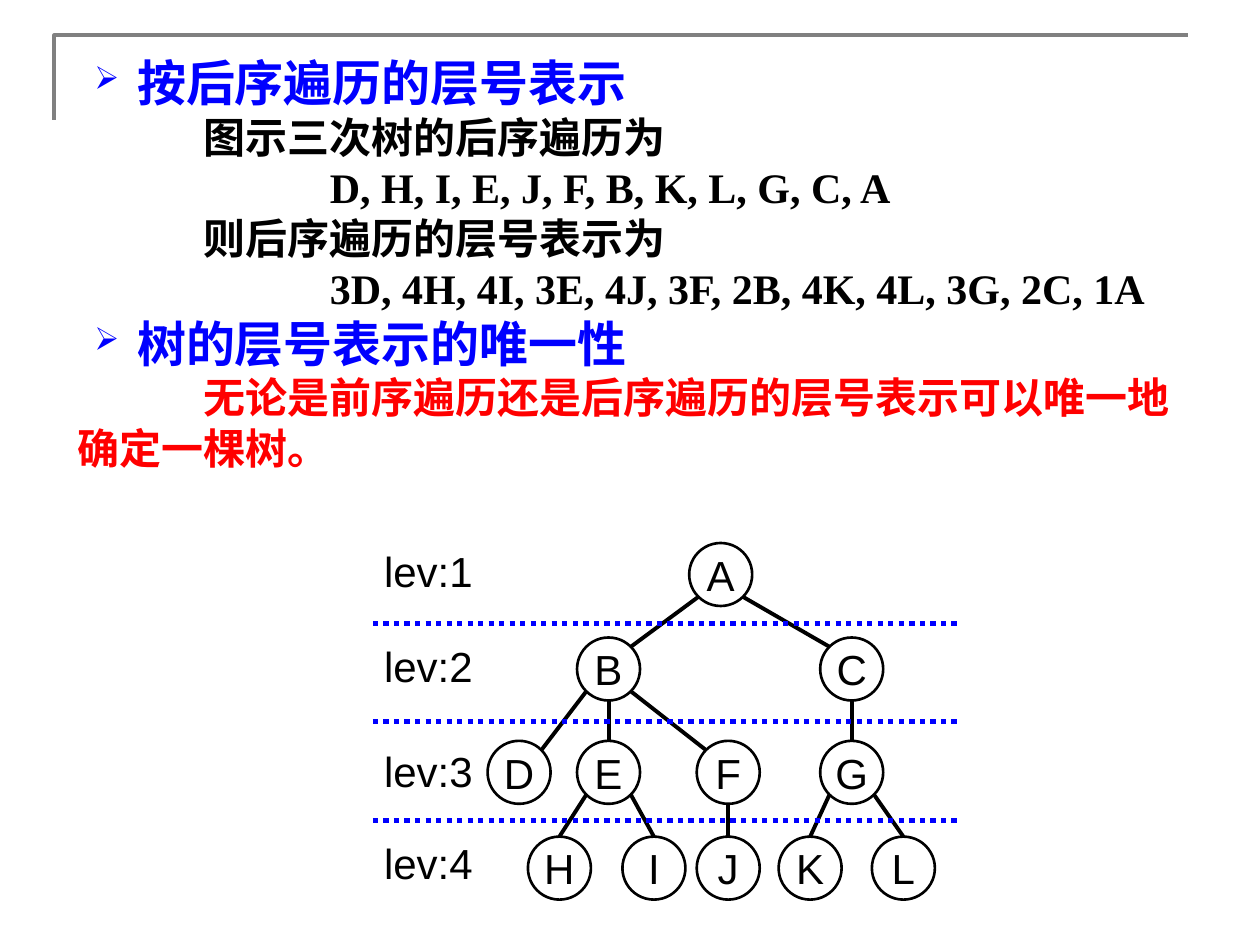
from math import sqrt

from lxml import etree
from pptx import Presentation
from pptx.dml.color import RGBColor
from pptx.enum.dml import MSO_LINE
from pptx.enum.shapes import MSO_CONNECTOR, MSO_SHAPE
from pptx.enum.text import MSO_ANCHOR, MSO_AUTO_SIZE, PP_ALIGN
from pptx.oxml.ns import qn
from pptx.util import Inches, Pt

OVAL, STRAIGHT = MSO_SHAPE.OVAL, MSO_CONNECTOR.STRAIGHT
DOTTED, CENTER, MIDDLE = MSO_LINE.ROUND_DOT, PP_ALIGN.CENTER, MSO_ANCHOR.MIDDLE
GROW = MSO_AUTO_SIZE.SHAPE_TO_FIT_TEXT

COLS, ROWS, CELL = 100, 75, 0.1
BLACK, BLUE, RED, GRAY = "000000", "0000FF", "FF0000", "808080"

HEADING = dict(size=28, color=BLUE, left=4.7, first=-3.4, bullet="➢")
BODY = dict(size=24, color=BLACK, left=0, first=10)
SEQUENCE = dict(BODY, first=20)
CONCLUSION = dict(BODY, color=RED)
OUTLINE = (
    ("按后序遍历的层号表示", HEADING),
    ("图示三次树的后序遍历为", BODY),
    ("D, H, I, E, J, F, B, K, L, G, C, A", SEQUENCE),
    ("则后序遍历的层号表示为", BODY),
    ("3D, 4H, 4I, 3E, 4J, 3F, 2B, 4K, 4L, 3G, 2C, 1A", SEQUENCE),
    ("树的层号表示的唯一性", HEADING),
    ("无论是前序遍历还是后序遍历的层号表示可以唯一地确定一棵树。", CONCLUSION),
)

LEVELS = (
    (45.6, 45.3, {"A": 57.2}),
    (53.1, 52.8, {"B": 48.3, "C": 67.6}),
    (61.3, 61.2, {"D": 41.2, "E": 48.3, "F": 57.8, "G": 67.6}),
    (68.9, 68.5, {"H": 44.4, "I": 51.9, "J": 57.8, "K": 64.3, "L": 71.7}),
)
RADIUS = 2.5
EDGES = (
    ("A", -1, "B", 1), ("A", 1, "C", -1),
    ("B", -1, "D", 1), ("B", 0, "E", 0), ("B", 1, "F", -1), ("C", 0, "G", 0),
    ("E", -1, "H", 0), ("E", 1, "I", 0), ("F", 0, "J", 0),
    ("G", -1, "K", 0), ("G", 1, "L", 0),
)
DIVIDERS = (49.5, 57.25, 65.1)


def rgb(value):
    return RGBColor.from_string(value)


def grid(*cells):
    return [Inches(c * CELL) for c in cells]


def rim(center, side, down):
    x, y = center
    drop = RADIUS / sqrt(2) if side else RADIUS
    return x + side * RADIUS / sqrt(2), y + down * drop


class TreeSlide:
    """Draws the elements of one slide on a grid of cells."""

    font, text_size, node_line, edge_line = "Arial", 24, 1.5, 2.25
    outline_font, leading, bullet_size = "Times New Roman", 1.2, 65

    def __init__(self, prs):
        self.shapes = prs.slides.add_slide(prs.slide_layouts[6]).shapes

    def stroke(self, sp, color, width):
        sp.line.color.rgb = rgb(color)
        sp.line.width = Pt(width)

    def style(self, p, name, size, color, bold=False):
        for r in p.runs:
            r.font.name, r.font.size, r.font.bold = name, Pt(size), bold
            r.font.color.rgb = rgb(color)

    def corner(self, points, color, width):
        start, *rest = [grid(*point) for point in points]
        fb = self.shapes.build_freeform(*start)
        fb.add_line_segments(rest, close=False)
        sp = fb.convert_to_shape()
        sp.shadow.inherit = False
        sp.fill.background()
        self.stroke(sp, color, width)

    def bullet(self, p, char, color):
        pPr = p._p.get_or_add_pPr()
        clr = etree.SubElement(pPr, qn("a:buClr"))
        etree.SubElement(clr, qn("a:srgbClr"), val=color)
        etree.SubElement(pPr, qn("a:buSzPct"), val=str(self.bullet_size * 1000))
        etree.SubElement(pPr, qn("a:buChar"), char=char)

    def outline(self, items, *box):
        tf = self.shapes.add_textbox(*grid(*box)).text_frame
        tf.word_wrap = True
        for i, (text, look) in enumerate(items):
            p = tf.paragraphs[0] if i == 0 else tf.add_paragraph()
            p.text = text
            pPr = p._p.get_or_add_pPr()
            left, first = grid(look["left"], look["first"])
            pPr.set("marL", str(left))
            pPr.set("indent", str(first))
            if "bullet" in look:
                self.bullet(p, look["bullet"], look["color"])
            p.line_spacing = Pt(look["size"] * self.leading)
            self.style(p, self.outline_font, look["size"], look["color"], True)

    def node(self, text, x, y):
        box = grid(x - RADIUS, y - RADIUS, 2 * RADIUS, 2 * RADIUS)
        sp = self.shapes.add_shape(OVAL, *box)
        sp.shadow.inherit = False
        sp.fill.background()
        self.stroke(sp, BLACK, self.node_line)
        self.caption(sp.text_frame, text)
        sp.text_frame.vertical_anchor = MIDDLE

    def label(self, text, x, y, w, h):
        tf = self.shapes.add_textbox(*grid(x - w / 2, y - h / 2, w, h)).text_frame
        tf.margin_left = tf.margin_right = Inches(0.02)
        tf.margin_top = tf.margin_bottom = Inches(0.01)
        tf.auto_size = GROW
        self.caption(tf, text)

    def caption(self, tf, text):
        tf.text = text
        tf.word_wrap = False
        p = tf.paragraphs[0]
        p.alignment = CENTER
        self.style(p, self.font, self.text_size, BLACK)

    def line(self, start, end, color, width, dash=None):
        cx = self.shapes.add_connector(STRAIGHT, *grid(*start, *end))
        self.stroke(cx, color, width)
        if dash:
            cx.line.dash_style = dash
        etree.SubElement(cx._element.spPr, qn("a:effectLst"))


def main():
    prs = Presentation()
    prs.slide_width, prs.slide_height = grid(COLS, ROWS)
    s = TreeSlide(prs)
    s.corner(((4.3, 9.5), (4.3, 2.8), (94.3, 2.8)), GRAY, 2)
    s.outline(OUTLINE, 5.2, 3.7, 90, 38.7)

    centers = {n: (x, y) for y, _, row in LEVELS for n, x in row.items()}
    for name, center in centers.items():
        s.node(name, *center)
    for parent, side, child, child_side in EDGES:
        start = rim(centers[parent], side, 1)
        end = rim(centers[child], child_side, -1)
        s.line(start, end, BLACK, s.edge_line)
    for y in DIVIDERS:
        s.line((29.6, y), (76, y), BLUE, 3, DOTTED)
    for number, (_, y, _) in enumerate(LEVELS, 1):
        s.label(f"lev:{number}", 34, y, 8, 4.2)

    prs.save("out.pptx")


if __name__ == "__main__":
    main()
